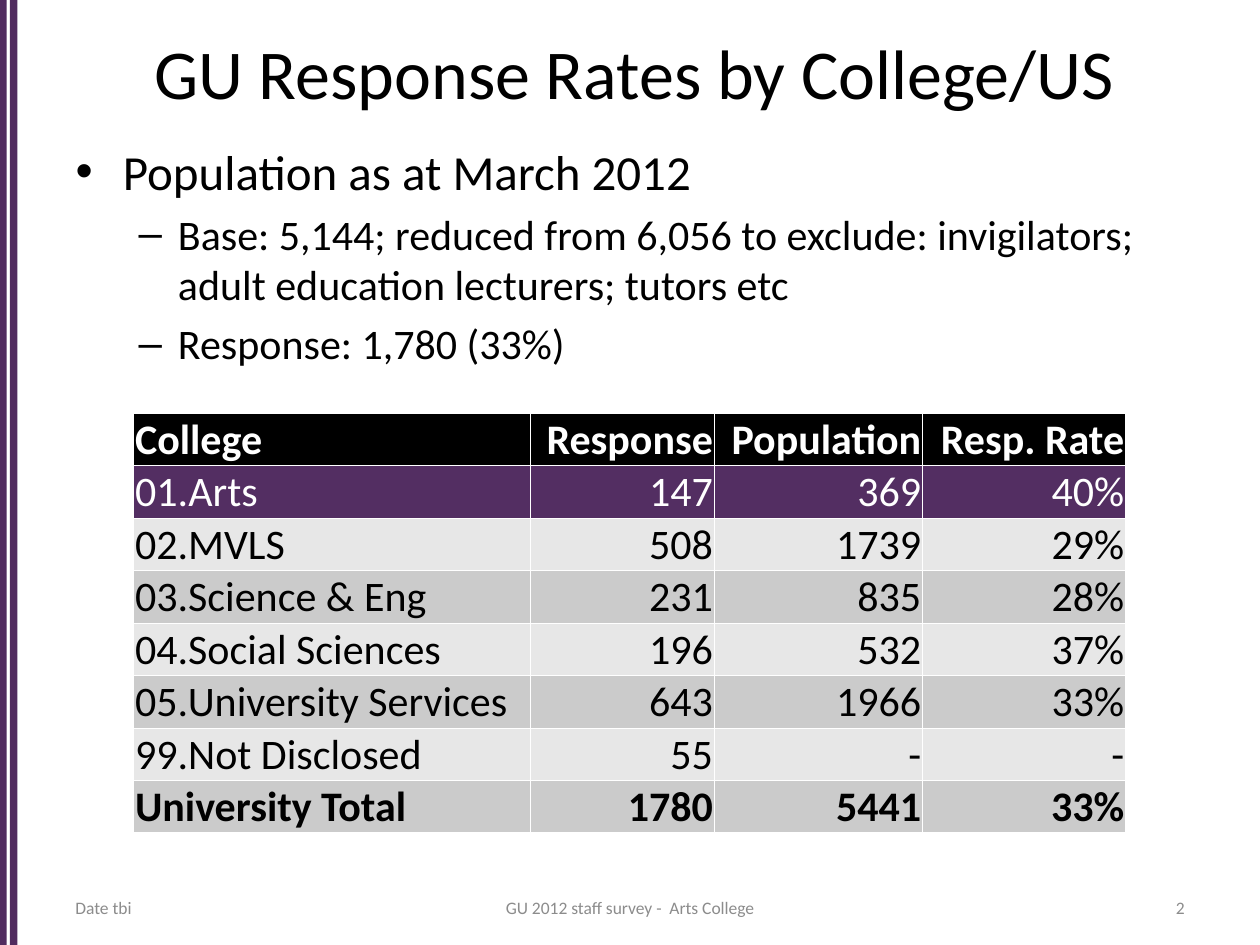
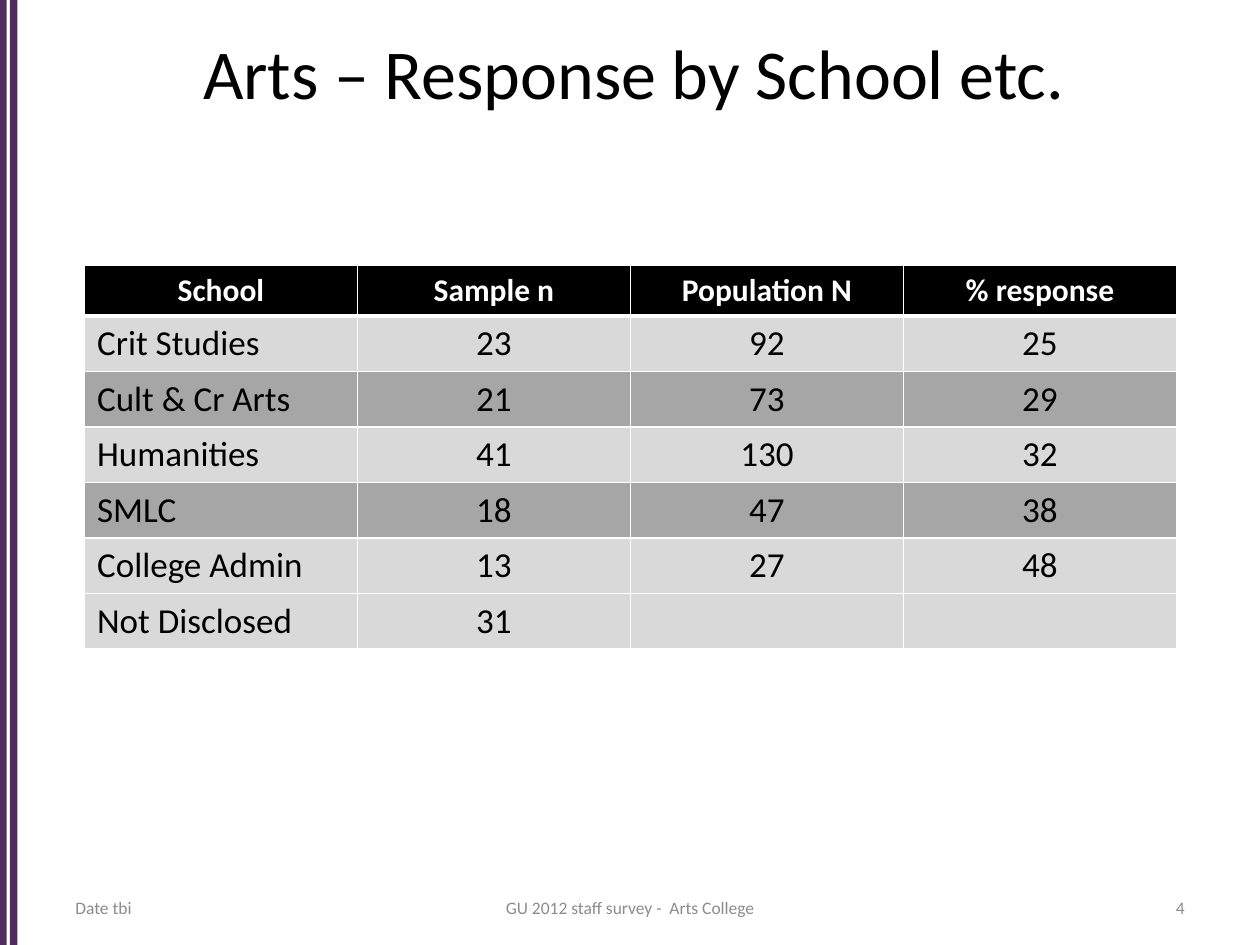
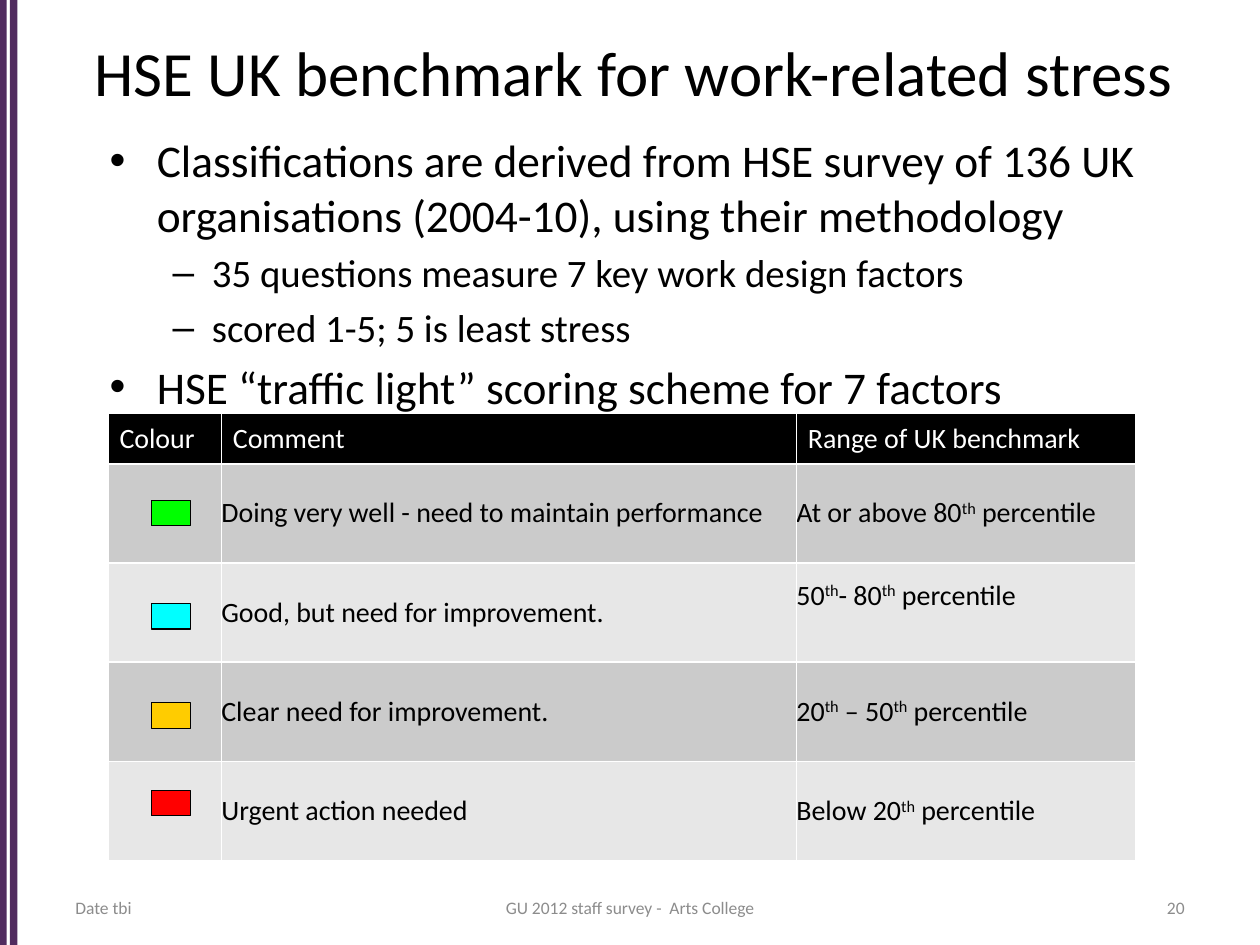
from dataclasses import dataclass
from itertools import cycle, islice

from lxml.etree import SubElement
from pptx import Presentation
from pptx.dml.color import RGBColor
from pptx.enum.shapes import MSO_SHAPE as Shape
from pptx.enum.text import MSO_ANCHOR as Anchor, MSO_AUTO_SIZE as AutoSize, PP_ALIGN as Align
from pptx.oxml.ns import qn
from pptx.util import Pt


@dataclass(frozen=True)
class Theme:
    """Colours, font and type sizes shared by the slides."""
    font: str = "Calibri"
    ink: str = "000000"
    paper: str = "FFFFFF"
    band: str = "512C5F"
    highlight: str = "532E62"
    muted: str = "8C8C8C"
    light: str = "E7E7E7"
    mid: str = "CBCBCB"
    pale: str = "D9D9D9"
    dark: str = "A6A6A6"
    title: float = 40
    footer: float = 10


T = Theme()
TITLE_BOX = (36, 9.4, 652.3, 62.6)
LEFT, CENTER, RIGHT = Align.LEFT, Align.CENTER, Align.RIGHT


def points(values):
    """Turn numbers into lengths in points."""
    return [Pt(v) for v in values]


def write(p, text, size, color=T.ink, bold=False, align=None):
    """Write text into a paragraph, raising the parts between carets."""
    p.alignment = align
    for i, part in enumerate(text.split("^")):
        if not part:
            continue
        r = p.add_run()
        r.text = part
        r.font.name, r.font.size, r.font.bold = T.font, Pt(size), bold
        r.font.color.rgb = RGBColor.from_string(color)
        if i % 2:
            r.font._element.set("baseline", "30000")


def add_rect(s, box, fill, line=None):
    """Add a plain rectangle with an optional thin outline."""
    sp = s.shapes.add_shape(Shape.RECTANGLE, *points(box))
    sp.shadow.inherit = False
    sp.fill.solid()
    sp.fill.fore_color.rgb = RGBColor.from_string(fill)
    if line:
        sp.line.color.rgb = RGBColor.from_string(line)
        sp.line.width = Pt(0.75)
    else:
        sp.line.fill.background()


def place(sp, box):
    """Move a placeholder to a box and return its text frame."""
    sp.left, sp.top, sp.width, sp.height = points(box)
    tf = sp.text_frame
    tf.word_wrap, tf.auto_size = True, AutoSize.NONE
    return tf


def add_footer(s, number):
    """Add the date, survey name and slide number."""
    for left, width, align, text in (
        (36, 168, LEFT, "Date tbi"),
        (246, 228, CENTER, "GU 2012 staff survey -  Arts College"),
        (516, 168, RIGHT, number),
    ):
        tf = s.shapes.add_textbox(*points((left, 508, width, 21))).text_frame
        tf.word_wrap, tf.vertical_anchor = True, Anchor.MIDDLE
        write(tf.paragraphs[0], text, T.footer, T.muted, align=align)


def add_slide(prs, layout, title, number, size=T.title):
    """Add a slide with side bands, title and footer."""
    s = prs.slides.add_slide(prs.slide_layouts.get_by_name(layout))
    for left in (5.7, -0.4):
        add_rect(s, (left, 0, 4.3, 540), T.band)
    tf = place(s.shapes.title, TITLE_BOX)
    tf.vertical_anchor = Anchor.MIDDLE
    write(tf.paragraphs[0], title, size, align=CENTER)
    add_footer(s, number)
    return s


def add_bullets(s, box, items, sizes):
    """Fill the body placeholder with (level, text) items."""
    tf = place(s.placeholders[1], box)
    for i, (level, text) in enumerate(items):
        p = tf.add_paragraph() if i else tf.paragraphs[0]
        p.level = level
        if not i:
            p.space_before = Pt(0)
        write(p, text, sizes[level])


def set_borders(cell, width, top, bottom):
    """Draw the four sides of a cell in the paper colour."""
    tc_pr = cell._tc.get_or_add_tcPr()
    for side, w in (("L", width), ("R", width), ("T", top), ("B", bottom)):
        ln = SubElement(tc_pr, qn(f"a:ln{side}"), w=str(Pt(w)))
        fill = SubElement(ln, qn("a:solidFill"))
        SubElement(fill, qn("a:srgbClr"), val=T.paper)


def set_margins(cell, margins):
    """Set the left, top, right and bottom margins of a cell."""
    cell.margin_left, cell.margin_top, cell.margin_right, cell.margin_bottom = points(margins)


def add_grid(s, origin, cols, heights, rows, fills, aligns, sizes, margins=None,
             border=1, rule=1, anchor=Anchor.MIDDLE, bold_rows=(0,), white_rows=(0,),
             head_align=None):
    """Add a table whose header and body each have one type size."""
    box = (*origin, sum(cols), sum(heights))
    tbl = s.shapes.add_table(len(rows), len(cols), *points(box)).table
    tbl.first_row = tbl.horz_banding = False
    for col, width in zip(tbl.columns, cols):
        col.width = Pt(width)
    for i, (row, height, fill) in enumerate(zip(rows, heights, fills)):
        tbl.rows[i].height = Pt(height)
        for j, text in enumerate(row):
            cell = tbl.cell(i, j)
            set_borders(cell, border, rule if i == 1 else border, rule if i == 0 else border)
            cell.fill.solid()
            cell.fill.fore_color.rgb = RGBColor.from_string(fill)
            cell.vertical_anchor = anchor
            if margins:
                set_margins(cell, margins)
            write(cell.text_frame.paragraphs[0], text, sizes[min(i, 1)],
                  T.paper if i in white_rows else T.ink, i in bold_rows,
                  head_align if head_align and i == 0 else aligns[j])
    return tbl


def college_slide(prs):
    """Build the response rates by college."""
    s = add_slide(prs, "Title and Content", "GU Response Rates by College/US", "2")
    add_bullets(s, (36, 77, 652.3, 425.5), [
        (0, "Population as at March 2012"),
        (1, "Base: 5,144; reduced from 6,056 to exclude: invigilators; "
            "adult education lecturers; tutors etc"),
        (1, "Response: 1,780 (33%)"),
    ], (28, 24))
    rows = [
        ("College", "Response", "Population", "Resp. Rate"),
        ("01.Arts", "147", "369", "40%"),
        ("02.MVLS", "508", "1739", "29%"),
        ("03.Science & Eng", "231", "835", "28%"),
        ("04.Social Sciences", "196", "532", "37%"),
        ("05.University Services", "643", "1966", "33%"),
        ("99.Not Disclosed", "55", "-", "-"),
        ("University Total", "1780", "5441", "33%"),
    ]
    fills = [T.ink, T.highlight, *islice(cycle((T.light, T.mid)), 6)]
    add_grid(s, (76.5, 236), (226.8, 104.8, 119, 116), [30] * len(rows), rows, fills,
             (LEFT, RIGHT, RIGHT, RIGHT), (24, 24), (0.7, 0.7, 0.7, 0), border=0.5,
             rule=0.5, bold_rows=(0, len(rows) - 1), white_rows=(0, 1))


def school_slide(prs):
    """Build the Arts responses by school."""
    s = add_slide(prs, "Title Only", "Arts – Response by School etc.", "4")
    rows = [
        ("School", "Sample n", "Population N", "% response"),
        ("Crit Studies", "23", "92", "25"),
        ("Cult & Cr Arts", "21", "73", "29"),
        ("Humanities", "41", "130", "32"),
        ("SMLC", "18", "47", "38"),
        ("College Admin", "13", "27", "48"),
        ("Not Disclosed", "31", "", ""),
    ]
    fills = [T.ink, *islice(cycle((T.pale, T.dark)), 5), T.pale]
    add_grid(s, (48.3, 151.4), [156] * 4, [29.2] + [31.7] * 6, rows, fills,
             (LEFT, CENTER, CENTER, CENTER), (18, 20), rule=3, anchor=Anchor.TOP,
             head_align=CENTER)


def benchmark_table(s, left, top):
    """Add the traffic light table with its colour swatches."""
    head, body = 28.8, 56.7
    bands = [
        ("00FF00", 20.9, "Doing very well - need to maintain performance",
         "At or above 80^th^ percentile"),
        ("00FFFF", 23.2, "Good, but need for improvement.", "50^th^- 80^th^ percentile"),
        ("FFCC00", 23.2, "Clear need for improvement.", "20^th^ – 50^th^ percentile"),
        ("FF0000", 16.5, "Urgent action needed", "Below 20^th^ percentile"),
    ]
    rows = [("Colour", "Comment", "Range of UK benchmark"),
            *(("", comment, span) for _, _, comment, span in bands)]
    fills = [T.ink, *islice(cycle((T.mid, T.light)), len(bands))]
    tbl = add_grid(s, (left, top), (64.8, 328.6, 193.8), [head] + [body] * len(bands),
                   rows, fills, (LEFT,) * 3, (16, 16), (0, 0, 0, 0), bold_rows=())
    for cell in tbl.rows[0].cells:
        set_margins(cell, (6.6, 3.6, 6.6, 3.6))
    tbl.cell(2, 2).margin_bottom = Pt(19.5)
    for i, (color, drop, _, _) in enumerate(bands):
        add_rect(s, (left + 24.7, top + head + i * body + drop, 22.4, 14.6), color, T.ink)


def benchmark_slide(prs):
    """Build the stress benchmark."""
    s = add_slide(prs, "Title and Content", "HSE UK benchmark for work-related stress", "20", 36)
    add_bullets(s, (55.4, 72, 609, 152.6), [
        (0, "Classifications are derived from HSE survey of 136 UK "
            "organisations (2004-10), using their methodology"),
        (1, "35 questions measure 7 key work design factors"),
        (1, "scored 1-5; 5 is least stress"),
        (0, "HSE “traffic light” scoring scheme for 7 factors"),
    ], (25.9, 22.2))
    benchmark_table(s, 61.7, 236.2)


def main():
    """Build and save the deck."""
    prs = Presentation()
    prs.slide_width, prs.slide_height = Pt(720), Pt(540)
    for build in (college_slide, school_slide, benchmark_slide):
        build(prs)
    prs.save("out.pptx")


if __name__ == "__main__":
    main()
